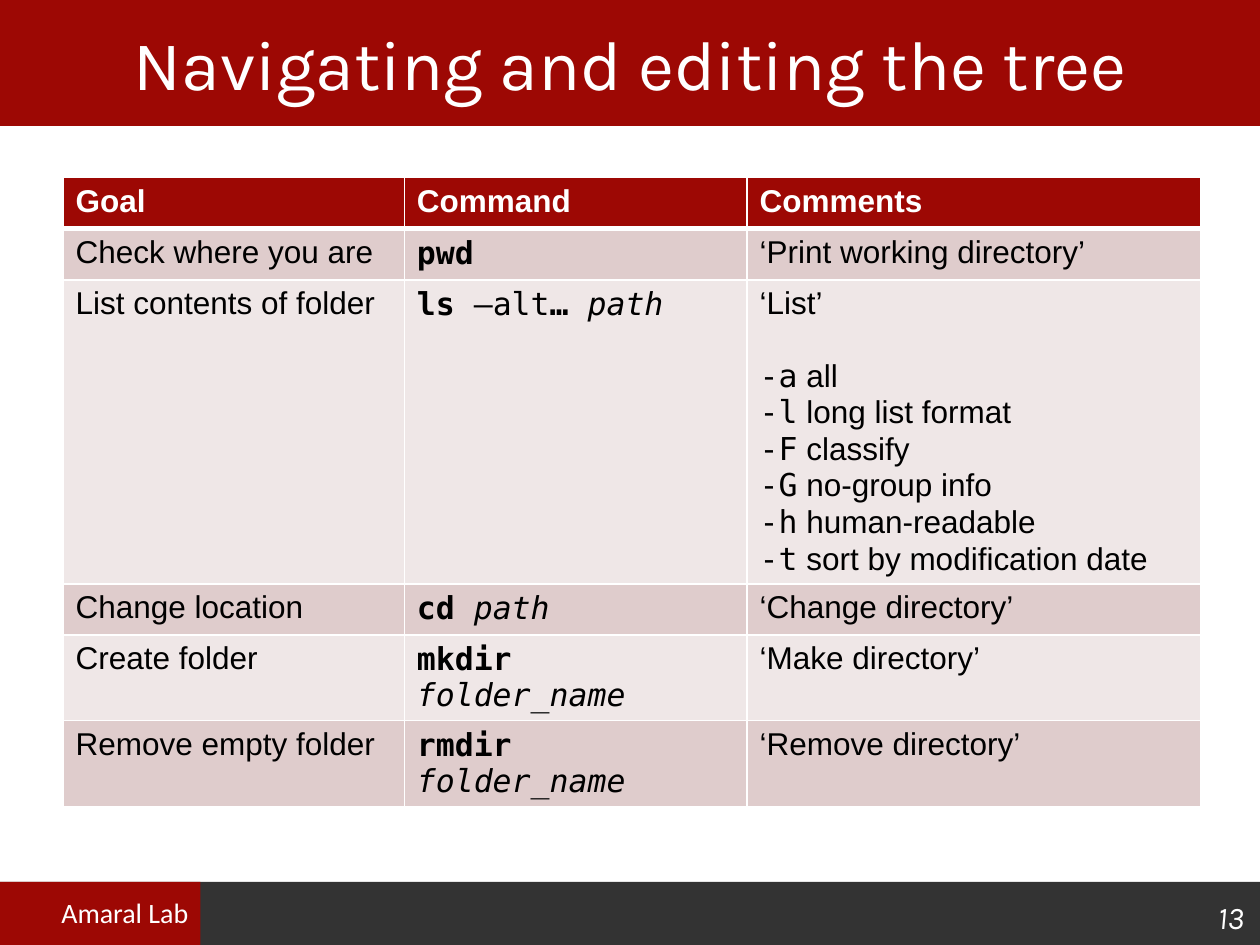
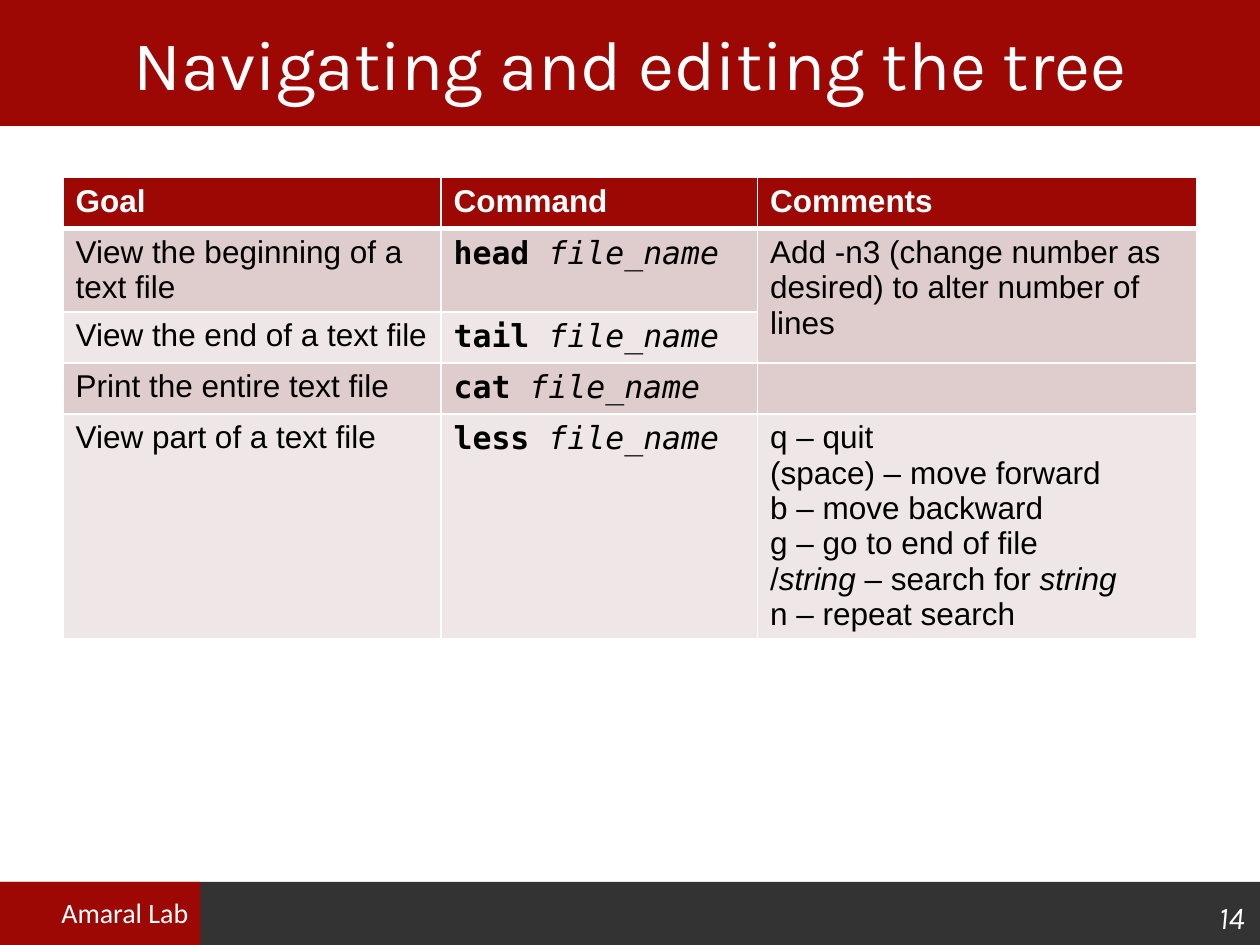
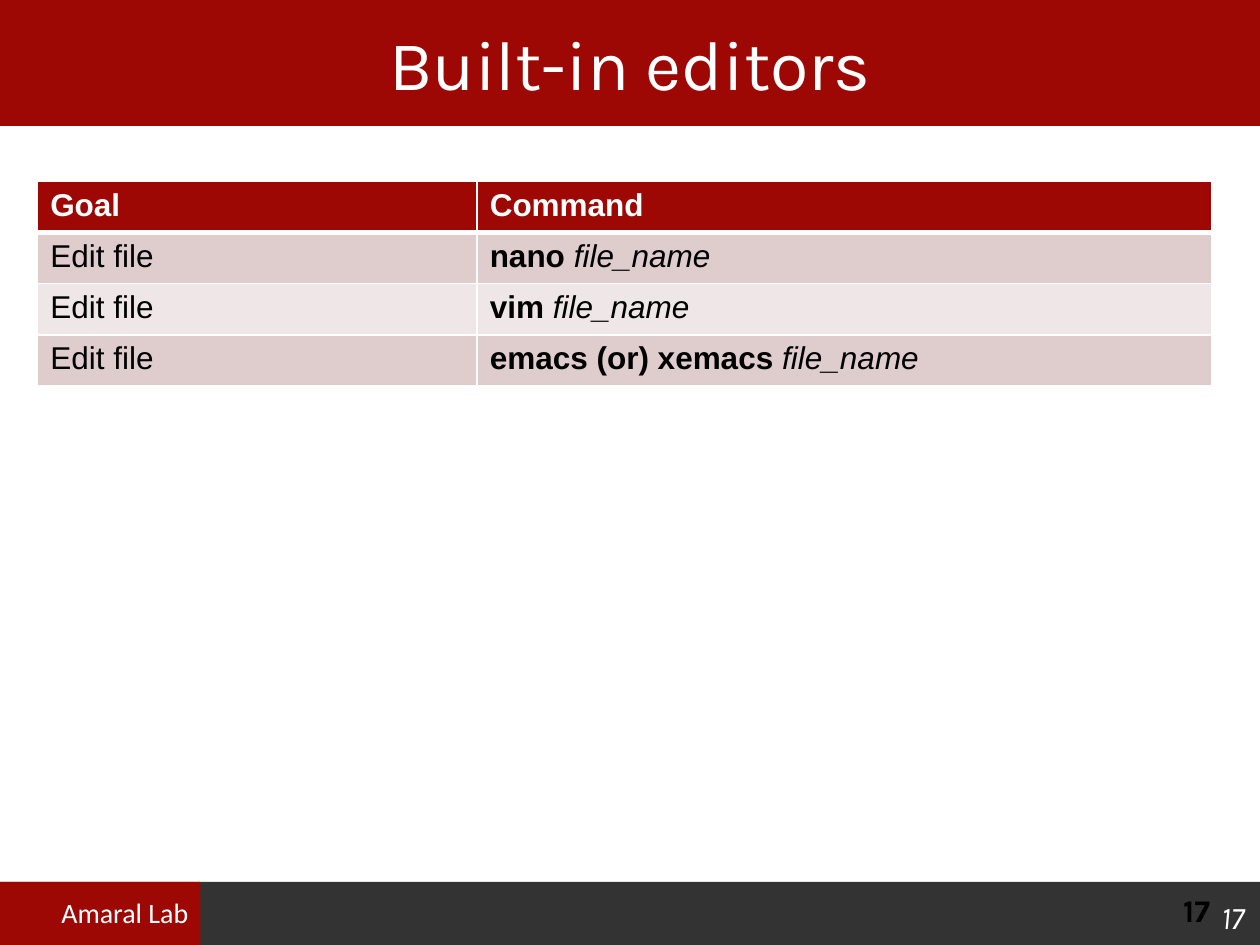
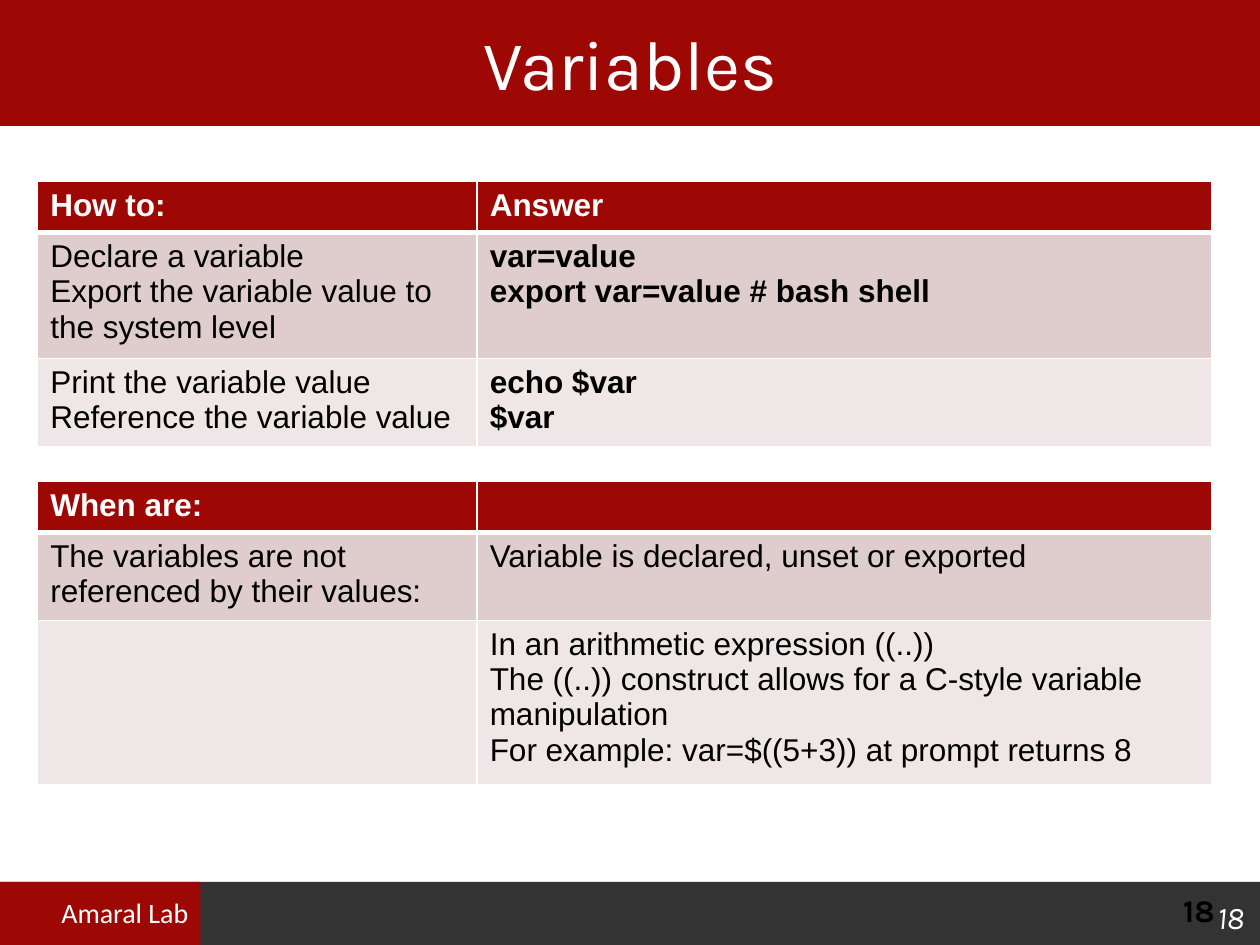
from pptx import Presentation
from pptx.dml.color import RGBColor
from pptx.enum.shapes import MSO_SHAPE
from pptx.enum.text import MSO_ANCHOR, MSO_AUTO_SIZE, PP_ALIGN
from pptx.oxml import parse_xml
from pptx.oxml.ns import nsdecls
from pptx.util import Cm, Pt

RECT = MSO_SHAPE.RECTANGLE
TOP, MIDDLE, BOTTOM = MSO_ANCHOR.TOP, MSO_ANCHOR.MIDDLE, MSO_ANCHOR.BOTTOM
LEFT, CENTER, RIGHT = PP_ALIGN.LEFT, PP_ALIGN.CENTER, PP_ALIGN.RIGHT
NO_FIT = MSO_AUTO_SIZE.NONE

RED, GREY, WHITE, BLACK = "9D0804", "333333", "FFFFFF", "000000"
BANDS = ["EFE7E7", "DFCCCC"]
WIDTH, HEIGHT = 25.4, 19.05
HEAD_H, FOOT_H, TAG_W = 2.54, 1.27, 4.04
FOOT_Y = HEIGHT - FOOT_H
ROW_H = 1.03

MONO = {"name": "DejaVu Sans Mono"}
PLAIN, BOLD, ITALIC = {}, {"bold": True}, {"italic": True}
CODE_BOLD, CODE_ITALIC = MONO | BOLD, MONO | ITALIC
BODY = {"name": "Arial", "size": Pt(18), "color": BLACK}
HEADER = {"color": WHITE, "bold": True}
TITLE = {"name": "Karla", "size": Pt(40), "color": WHITE}
LAB = {"name": "Calibri", "size": Pt(16), "color": WHITE}
NUMBER = {"name": "Karla", "size": Pt(18), "color": WHITE, "italic": True}
EXTRA_NUMBER = {"name": "Karla", "size": Pt(18), "color": BLACK, "bold": True}


def rgb(value):
    return RGBColor.from_string(value)


def code(command, argument=""):
    return [[(command, CODE_BOLD), (argument, CODE_ITALIC)]]


def words(command, argument):
    return [[(command, BOLD), (argument, ITALIC)]]


def option(flag, meaning):
    return [(flag, MONO), (" " + meaning, PLAIN)]


def lines(*texts, style=PLAIN):
    return [[(text, style)] for text in texts]


class Deck:
    def __init__(self):
        self.prs = Presentation()
        self.prs.slide_width, self.prs.slide_height = Cm(WIDTH), Cm(HEIGHT)
        self.s = None

    def slide(self, title, number, extra_number=False):
        self.s = self.prs.slides.add_slide(self.prs.slide_layouts[5])
        self.band(0, FOOT_Y, WIDTH, FOOT_H, GREY)
        self.band(0, 0, WIDTH, HEAD_H, RED)
        self.band(0, FOOT_Y, TAG_W, FOOT_H, RED)
        self.text((0.99, 17.93, 3.07, 0.94), "Amaral Lab", LAB, wrap=False)
        self.text((22.99, 17.98, 2.34, 1.02), number, NUMBER, RIGHT, BOTTOM)
        self.title(title)
        if extra_number:
            self.text((23.6, 17.83, 1.8, 1.22), number, EXTRA_NUMBER)

    def band(self, x, y, w, h, color):
        sp = self.s.shapes.add_shape(RECT, Cm(x), Cm(y), Cm(w), Cm(h))
        sp.shadow.inherit = False
        sp.fill.solid()
        sp.fill.fore_color.rgb = rgb(color)
        sp.line.fill.background()

    def title(self, text):
        sp = self.s.shapes.title
        sp.left, sp.top, sp.width, sp.height = 0, 0, Cm(WIDTH), Cm(HEAD_H)
        sp.element.getparent().append(sp.element)
        tf = sp.text_frame
        tf.auto_size, tf.vertical_anchor = NO_FIT, MIDDLE
        self.paragraphs(tf, lines(text), TITLE, CENTER)

    def text(self, box, text, style, align=LEFT, anchor=TOP, wrap=True):
        sp = self.s.shapes.add_textbox(*[Cm(v) for v in box])
        tf = sp.text_frame
        tf.word_wrap, tf.vertical_anchor = wrap, anchor
        self.paragraphs(tf, lines(text), style, align)

    def paragraphs(self, tf, content, base, align=LEFT):
        for i, runs in enumerate(content):
            p = tf.add_paragraph() if i else tf.paragraphs[0]
            p.alignment = align
            for text, style in runs:
                if text:
                    r = p.add_run()
                    r.text = text
                    self.font(r.font, base | style)

    def font(self, font, style):
        for key, value in style.items():
            if key == "color":
                font.color.rgb = rgb(value)
            else:
                setattr(font, key, value)

    def table(self, x, y, widths, rows):
        shape = self.s.shapes.add_table(
            len(rows), len(widths), Cm(x), Cm(y), Cm(sum(widths)), Cm(ROW_H * len(rows)))
        table = shape.table
        table.horz_banding = False
        for column, width in zip(table.columns, widths):
            column.width = Cm(width)
        for i, row in enumerate(rows):
            table.rows[i].height = Cm(ROW_H)
            for j, content in enumerate(row):
                cell = table.cell(i, j)
                if isinstance(content, str):
                    content = lines(content)
                self.paragraphs(cell.text_frame, content, BODY if i else BODY | HEADER)
                cell.fill.solid()
                cell.fill.fore_color.rgb = rgb(BANDS[i % 2] if i else RED)
                self.borders(cell, {"L": 1, "R": 1, "T": 3 if i == 1 else 1, "B": 1 if i else 3})
        return table

    def borders(self, cell, sides):
        tc_pr = cell._tc.get_or_add_tcPr()
        for n, (side, width) in enumerate(sides.items()):
            tc_pr.insert(n, parse_xml(
                f'<a:ln{side} {nsdecls("a")} w="{Pt(width)}"><a:solidFill>'
                f'<a:srgbClr val="{WHITE}"/></a:solidFill></a:ln{side}>'))


def main():
    deck = Deck()
    headings = ["Goal", "Command", "Comments"]
    wide = [8.86, 14.81]

    deck.slide("Navigating and editing the tree", "13")
    table = deck.table(1.27, 3.58, [6.88, 6.91, 9.14], [
        headings,
        ["Check where you are", code("pwd"), "‘Print working directory’"],
        ["List contents of folder",
         [[("ls ", CODE_BOLD), ("–alt", MONO), ("… ", CODE_BOLD), ("path", CODE_ITALIC)]],
         lines("‘List’") + [
             option("-a", "all"),
             option("-l", "long list format"),
             option("-F", "classify"),
             option("-G", "no-group info"),
             option("-h", "human-readable"),
             option("-t", "sort by modification date")]],
        ["Change location", code("cd ", "path"), "‘Change directory’"],
        ["Create folder", code("mkdir ", "folder_name"), "‘Make directory’"],
        ["Remove empty folder", code("rmdir ", "folder_name"), "‘Remove directory’"],
    ])
    table.cell(2, 2).text_frame.paragraphs[0].space_after = Pt(21)

    deck.slide("Navigating and editing the tree", "14")
    table = deck.table(1.27, 3.58, [7.62, 6.38, 8.86], [
        headings,
        ["View the beginning of a text file", code("head ", "file_name"),
         "Add -n3 (change number as desired) to alter number of lines"],
        ["View the end of a text file", code("tail ", "file_name"), ""],
        ["Print the entire text file", code("cat ", "file_name"), ""],
        ["View part of a text file", code("less ", "file_name"),
         lines("q – quit", "(space) – move forward", "b – move backward",
               "g – go to end of file")
         + [[("/", PLAIN), ("string", ITALIC), (" – search for ", PLAIN), ("string", ITALIC)]]
         + lines("n – repeat search")],
    ])
    table.cell(1, 2).merge(table.cell(2, 2))

    deck.slide("Built-in editors", "17", extra_number=True)
    editors = ["nano ", "vim ", "emacs (or) xemacs "]
    deck.table(0.76, 3.66, wide, [headings[:2]] + [
        ["Edit file", words(editor, "file_name")] for editor in editors])

    deck.slide("Variables", "18", extra_number=True)
    deck.table(0.76, 3.66, wide, [
        ["How to:", "Answer"],
        [lines("Declare a variable", "Export the variable value to the system level"),
         lines("var=value", "export var=value # bash shell", style=BOLD)],
        [lines("Print the variable value", "Reference the variable value"),
         lines("echo $var", "$var", style=BOLD)],
    ])
    deck.table(0.76, 9.7, wide, [
        ["When are:", ""],
        ["The variables are not referenced by their values:",
         "Variable is declared, unset or exported"],
        ["", lines("In an arithmetic expression ((..))",
                   "The ((..)) construct allows for a C-style variable manipulation",
                   "For example: var=$((5+3)) at prompt returns 8")],
    ])

    deck.prs.save("out.pptx")


if __name__ == "__main__":
    main()
